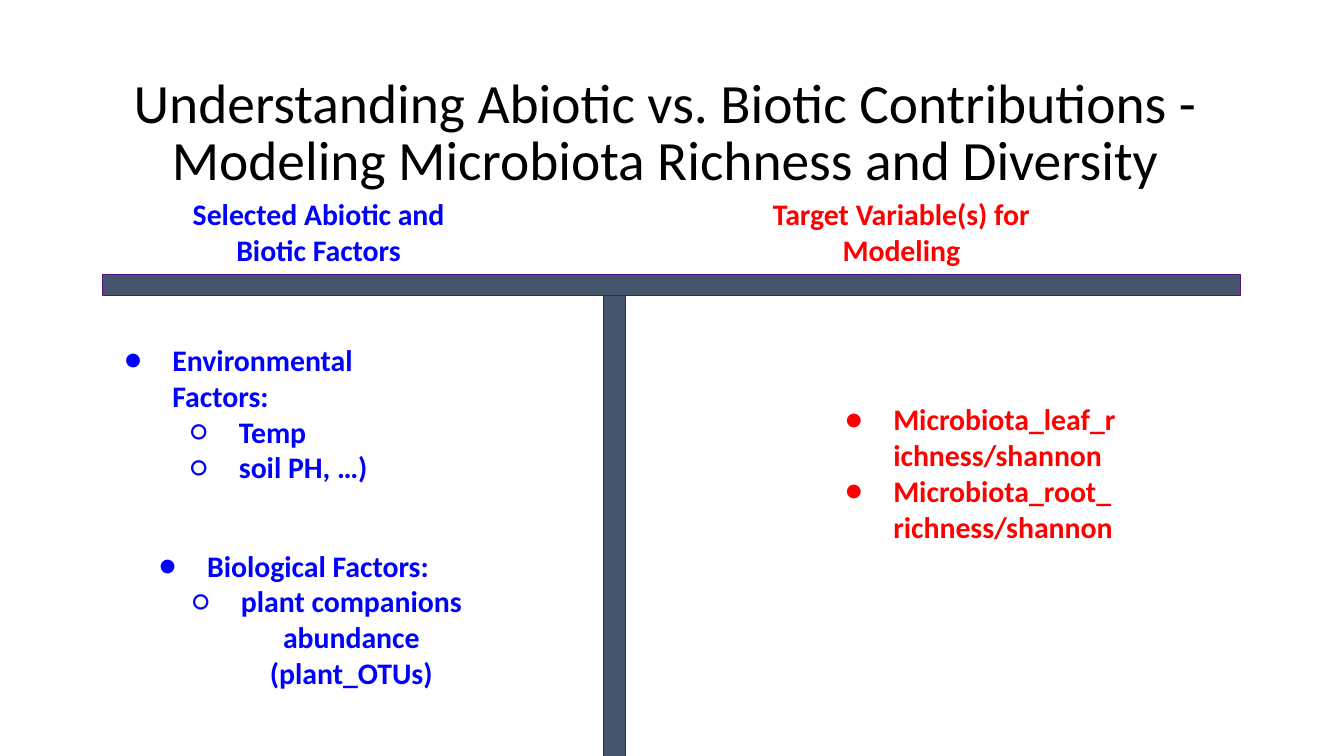
from dataclasses import dataclass

from lxml import etree
from pptx import Presentation
from pptx.dml.color import RGBColor
from pptx.enum.shapes import MSO_SHAPE
from pptx.enum.text import MSO_ANCHOR, MSO_AUTO_SIZE, PP_ALIGN
from pptx.oxml.ns import qn
from pptx.util import Inches, Pt

RECTANGLE = MSO_SHAPE.RECTANGLE
LEFT, CENTER = PP_ALIGN.LEFT, PP_ALIGN.CENTER
TOP = MSO_ANCHOR.TOP
NO_AUTOFIT = MSO_AUTO_SIZE.NONE

FONT = "Calibri"
BLACK, BLUE, RED = "000000", "0000FF", "FF0000"
BAR_FILL, BAR_LINE = "44546A", "580F8B"
COMPARISON_LAYOUT = 5
BULLETS = ("●", "○")
BULLET_MARGINS = (0.67, 1.33)
BULLET_HANGING = -0.48


@dataclass(frozen=True)
class Area:
    left: float
    top: float
    width: float
    height: float

    def lengths(self) -> tuple:
        return tuple(Inches(v) for v in (self.left, self.top, self.width, self.height))


@dataclass(frozen=True)
class Item:
    text: str
    level: int = 0


@dataclass(frozen=True)
class TextBlock:
    area: Area
    items: tuple[Item, ...]
    color: str
    placeholder: int | None = None
    align: PP_ALIGN = CENTER
    bulleted: bool = False
    size: float = 21.3
    bold: bool = True
    line_spacing: float = 1.0


TITLE = TextBlock(
    Area(0.45, 0.65, 12.42, 0.91),
    (Item("Understanding Abiotic vs. Biotic Contributions - "),
     Item("Modeling Microbiota Richness and Diversity ")),
    BLACK, placeholder=0, size=39.6, bold=False, line_spacing=0.85)

COLUMN_TEXTS = (
    TextBlock(Area(1.59, 1.81, 3.14, 0.71),
              (Item("Selected Abiotic and Biotic Factors"),), BLUE, placeholder=1),
    TextBlock(Area(0.91, 3.26, 3.14, 0.71),
              (Item("Environmental Factors:"), Item("Temp", 1), Item("soil PH, …)", 1)),
              BLUE, placeholder=2, align=LEFT, bulleted=True),
    TextBlock(Area(0.67, 5.3, 4.3, 0.71),
              (Item("Biological Factors:"),
               Item("plant companions abundance (plant_OTUs)", 1)),
              BLUE, bulleted=True),
    TextBlock(Area(7.37, 1.81, 3.14, 0.71),
              (Item("Target Variable(s) for Modeling"),), RED, placeholder=3),
    TextBlock(Area(8.06, 3.85, 3.14, 0.71),
              (Item("Microbiota_leaf_richness/shannon"),
               Item("Microbiota_root_richness/shannon")),
              RED, placeholder=4, align=LEFT, bulleted=True),
)

# Stem first, so that the crossbar lies over its top end
BARS = (Area(5.99, 2.82, 0.21, 5.12), Area(1.02, 2.72, 11.28, 0.21))


def set_attributes(target, values: dict) -> None:
    for name, value in values.items():
        setattr(target, name, value)


def rgb(color: str) -> RGBColor:
    return RGBColor.from_string(color)


def set_bullet(para, level: int, color: str) -> None:
    properties = para._p.get_or_add_pPr()
    properties.set("marL", str(Inches(BULLET_MARGINS[level])))
    properties.set("indent", str(Inches(BULLET_HANGING)))
    bullet_color = etree.SubElement(properties, qn("a:buClr"))
    etree.SubElement(bullet_color, qn("a:srgbClr"), val=color)
    etree.SubElement(properties, qn("a:buFont"), typeface=FONT)
    etree.SubElement(properties, qn("a:buChar"), char=BULLETS[level])


def add_text(page, block: TextBlock) -> None:
    left, top, width, height = block.area.lengths()
    if block.placeholder is None:
        box = page.shapes.add_textbox(left, top, width, height)
    else:
        box = next(shape for shape in page.placeholders
                   if shape.placeholder_format.idx == block.placeholder)
        set_attributes(box, {"left": left, "top": top, "width": width, "height": height})

    frame = box.text_frame
    inset = Inches(0.13)
    set_attributes(frame, {
        "word_wrap": True, "auto_size": NO_AUTOFIT, "vertical_anchor": TOP,
        "margin_left": inset, "margin_top": inset,
        "margin_right": inset, "margin_bottom": inset})

    for number, item in enumerate(block.items):
        para = frame.add_paragraph() if number else frame.paragraphs[0]
        set_attributes(para, {
            "alignment": block.align, "level": item.level,
            "line_spacing": block.line_spacing,
            "space_before": Pt(0), "space_after": Pt(0)})
        if block.bulleted:
            set_bullet(para, item.level, block.color)
        span = para.add_run()
        span.text = item.text
        set_attributes(span.font, {"name": FONT, "size": Pt(block.size), "bold": block.bold})
        span.font.color.rgb = rgb(block.color)


def add_bar(page, area: Area) -> None:
    bar = page.shapes.add_shape(RECTANGLE, *area.lengths())
    bar.shadow.inherit = False
    bar.fill.solid()
    bar.fill.fore_color.rgb = rgb(BAR_FILL)
    bar.line.color.rgb = rgb(BAR_LINE)
    bar.line.width = Pt(0.75)


def main() -> None:
    deck = Presentation()
    set_attributes(deck, {"slide_width": Inches(13.33), "slide_height": Inches(7.5)})
    page = deck.slides.add_slide(deck.slide_layouts[4])

    # Title
    add_text(page, TITLE)

    # T-shaped divider
    for area in BARS:
        add_bar(page, area)

    # Headings and lists of both columns
    for block in COLUMN_TEXTS:
        add_text(page, block)

    deck.save("out.pptx")


if __name__ == "__main__":
    main()
